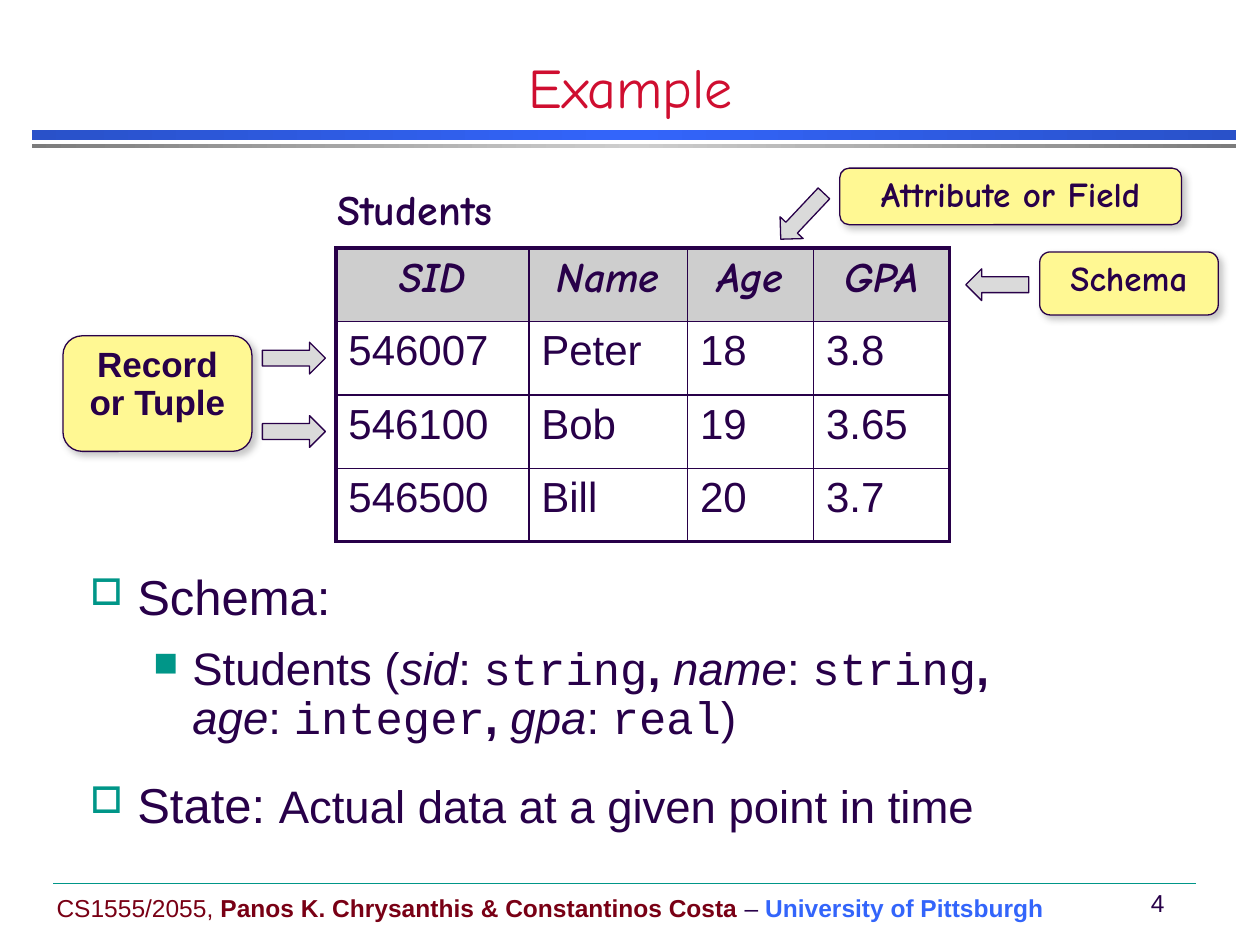
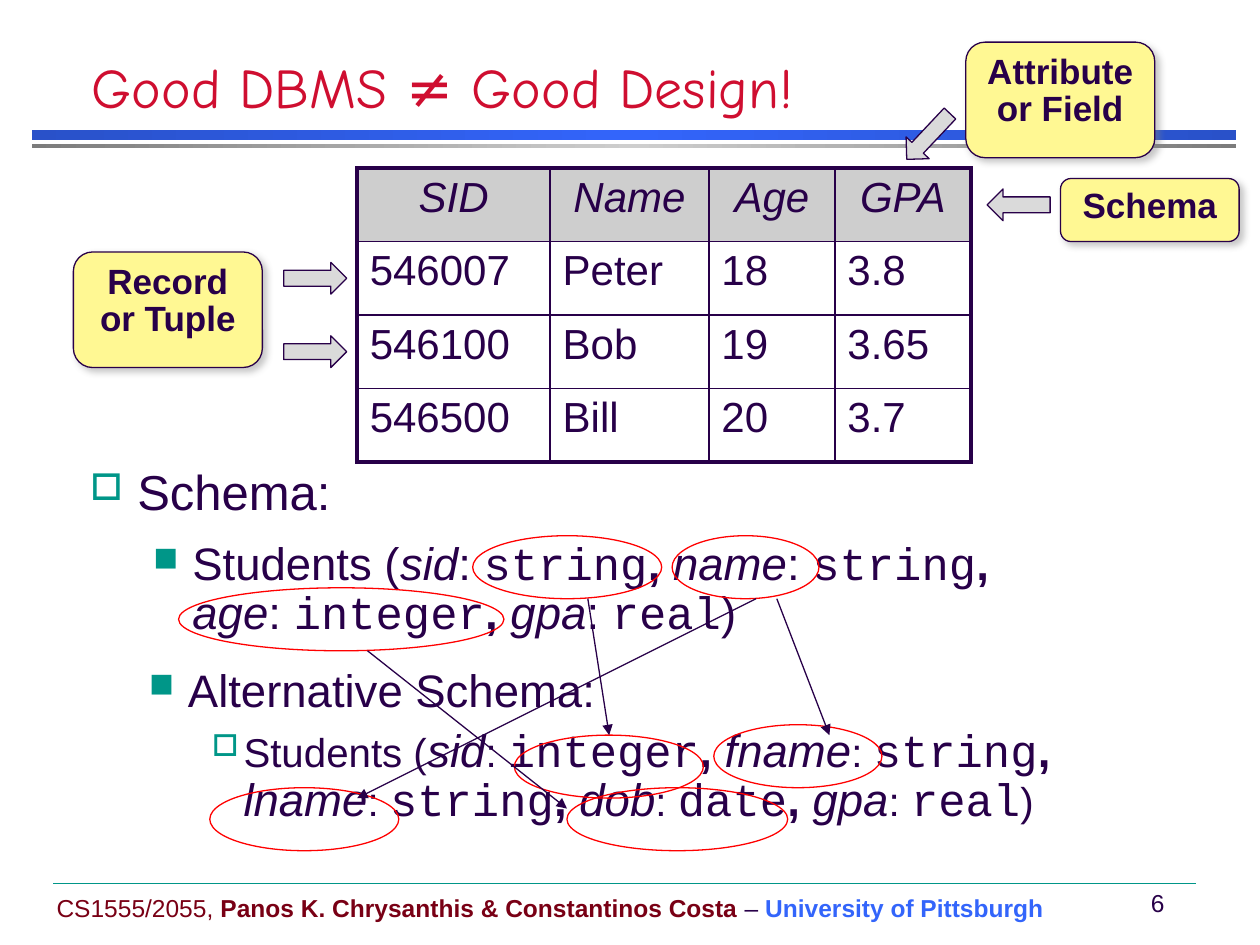
import copy

import pptx
import pptx.dml.color
import pptx.enum.shapes
import pptx.enum.text
import pptx.oxml
import pptx.oxml.ns
import pptx.util

SHAPE = pptx.enum.shapes.MSO_SHAPE
ALIGN = pptx.enum.text.PP_ALIGN
ANCHOR = pptx.enum.text.MSO_ANCHOR
Cm = pptx.util.Cm
Pt = pptx.util.Pt
qn = pptx.oxml.ns.qn

INK, RED, MAROON, TEAL = "280049", "CF0E30", "790015", "009688"
BLUE, GREY, YELLOW, ARROW_GREY, RING_RED = "3365FB", "CECECE", "FFF893", "DADADA", "FF0000"
HEAD_FONT, TEXT_FONT, CODE_FONT = "Comic Neue", "Arial", "Courier New"
LABEL = {"size": Pt(20), "bold": True}
STUDENTS = [
    ["SID", "Name", "Age", "GPA"],
    ["546007", "Peter", "18", "3.8"],
    ["546100", "Bob", "19", "3.65"],
    ["546500", "Bill", "20", "3.7"],
]
COLUMN_WIDTHS = [3.89, 3.2, 2.54, 2.74]
ROW_HEIGHT = 1.48
BULLETS = {1: ("□", 0.95, 0.95), 2: ("■", 2.06, 0.79), 3: ("□", 3.18, 0.64)}
FIELDS = [("sid", "string"), ("name", "string"), ("age", "integer"), ("gpa", "real")]
ALTERNATIVE_FIELDS = [("sid", "integer"), ("fname", "string"), ("lname", "string"),
                      ("dob", "date"), ("gpa", "real")]


def rgb(value):
    return pptx.dml.color.RGBColor.from_string(value)


def place(*lengths):
    return [Cm(length) for length in lengths]


def apply(target, formats):
    for name, value in formats.items():
        setattr(target, name, value)


def xml(tag, content="", **attributes):
    listed = " ".join(f'{name}="{value}"' for name, value in attributes.items())
    return pptx.oxml.parse_xml(
        f"<a:{tag} {pptx.oxml.ns.nsdecls('a')} {listed}>{content}</a:{tag}>")


def schema_runs(fields, plain_size):
    plain, larger = {"size": Pt(plain_size)}, {"size": Pt(26)}
    runs = [("Students (", plain)]
    for index, (field, kind) in enumerate(fields):
        runs += [(field, {**larger, "italic": True}), (": ", plain),
                 (kind, {**larger, "name": CODE_FONT})]
        if index == len(fields) - 1:
            runs.append((")", plain))
        elif index == 1:
            runs += [(",", {**larger, "bold": True}), ("\n", larger)]
        else:
            runs.append((", ", {**larger, "bold": True}))
    return runs


class Deck:
    def __init__(self):
        self.presentation = pptx.Presentation()
        self.presentation.slide_width = Cm(25.4)
        self.presentation.slide_height = Cm(19.05)
        self.slide = None

    def start(self, title, number, align):
        self.slide = self.presentation.slides.add_slide(self.presentation.slide_layouts[6])
        self.band(2.62, 0.2, "2951C9", BLUE)
        self.band(2.9, 0.08, "7C7C7C", GREY)
        self.line((1.07, 17.81), (24.1, 17.81), TEAL, 0.25)
        small, strong = {"size": Pt(14)}, {"size": Pt(14), "bold": True}
        self.text((0.89, 17.72, 22, 1.14), [
            ("CS1555/2055, ", {**small, "color": MAROON}),
            ("Panos K. Chrysanthis & Constantinos Costa", {**strong, "color": MAROON}),
            (" – ", small),
            ("University of Pittsburgh", {**strong, "color": BLUE}),
        ], ANCHOR.MIDDLE)
        self.text((22.72, 17.78, 1.24, 0.84), [(number, small)], ANCHOR.MIDDLE,
                  alignment=ALIGN.CENTER)
        self.text((1.6, 1.07, 22.23, 1.47),
                  [(title, {"size": Pt(32), "name": HEAD_FONT, "color": RED})],
                  ANCHOR.BOTTOM, alignment=align)

    def add_runs(self, paragraph, runs, **layout):
        apply(paragraph, layout)
        for text, formats in runs:
            if text == "\n":
                paragraph.add_line_break()
                continue
            run = paragraph.add_run()
            run.text = text
            formats = {"name": TEXT_FONT, "bold": False, "italic": False, "color": INK, **formats}
            run.font.color.rgb = rgb(formats.pop("color"))
            apply(run.font, formats)

    def frame(self, box, anchor=ANCHOR.TOP):
        frame = self.slide.shapes.add_textbox(*place(*box)).text_frame
        apply(frame, {"word_wrap": True, "vertical_anchor": anchor})
        return frame

    def text(self, box, runs, anchor=ANCHOR.TOP, **layout):
        self.add_runs(self.frame(box, anchor).paragraphs[0], runs, **layout)

    def outline(self, box, items):
        frame = self.frame(box)
        for index, (level, before, runs) in enumerate(items):
            paragraph = frame.add_paragraph() if index else frame.paragraphs[0]
            self.add_runs(paragraph, runs, line_spacing=0.9, space_before=Pt(before))
            character, margin, hanging = BULLETS[level]
            properties = paragraph._p.get_or_add_pPr()
            properties.set("marL", str(Cm(margin)))
            properties.set("indent", str(-Cm(hanging)))
            properties.append(xml("buClr", f'<a:srgbClr val="{TEAL}"/>'))
            properties.append(xml("buSzPct", val=75000))
            properties.append(xml("buChar", char=character))

    def shape(self, kind, box, fill=None, line=INK):
        shape = self.slide.shapes.add_shape(kind, *place(*box))
        shape.shadow.inherit = False
        if fill:
            shape.fill.solid()
            shape.fill.fore_color.rgb = rgb(fill)
        else:
            shape.fill.background()
        if line:
            shape.line.color.rgb = rgb(line)
            shape.line.width = Pt(0.75)
        else:
            shape.line.fill.background()
        return shape

    def band(self, top, height, edge, middle):
        band = self.shape(SHAPE.RECTANGLE, (0.64, top, 24.28, height), line=None)
        band.fill.gradient()
        band.fill.gradient_angle = 0
        for stop, color, position in zip(band.fill.gradient_stops, (edge, middle), (0, 0.5)):
            stop.color.rgb = rgb(color)
            stop.position = position
        stops = band._element.spPr.find(".//" + qn("a:gsLst"))
        last = copy.deepcopy(stops[0])
        last.set("pos", "100000")
        stops.append(last)

    def arrow(self, left, top, kind=SHAPE.RIGHT_ARROW, rotation=0):
        self.shape(kind, (left, top, 1.27, 0.64), ARROW_GREY).rotation = rotation

    def callout(self, box, label, font=TEXT_FONT):
        callout = self.shape(SHAPE.ROUNDED_RECTANGLE, box, YELLOW)
        shade = '<a:srgbClr val="808080"><a:alpha val="43000"/></a:srgbClr>'
        callout._element.spPr.find(qn("a:effectLst")).append(
            xml("outerShdw", shade, blurRad=Pt(4), dist=Pt(3), dir=2700000,
                algn="ctr", rotWithShape=0))
        apply(callout.text_frame, {"word_wrap": True, "vertical_anchor": ANCHOR.TOP})
        self.add_runs(callout.text_frame.paragraphs[0], [(label, {**LABEL, "name": font})],
                      alignment=ALIGN.CENTER, line_spacing=0.9)

    def ring(self, *box):
        self.shape(SHAPE.OVAL, box, line=RING_RED)

    def line(self, start, end, color=INK, width=0.75, head=False):
        line = self.slide.shapes.add_connector(
            pptx.enum.shapes.MSO_CONNECTOR.STRAIGHT, *place(*start, *end))
        line.line.color.rgb = rgb(color)
        line.line.width = Pt(width)
        if head:
            line.line._get_or_add_ln().append(xml("tailEnd", type="triangle"))
        line._element.spPr.append(xml("effectLst"))

    def table(self, left, top, heading):
        rows, columns = len(STUDENTS), len(COLUMN_WIDTHS)
        table = self.slide.shapes.add_table(
            rows, columns, *place(left, top, sum(COLUMN_WIDTHS), rows * ROW_HEIGHT)).table
        apply(table, {"first_row": False, "horz_banding": False})
        for column, width in zip(table.columns, COLUMN_WIDTHS):
            column.width = Cm(width)
        for r, record in enumerate(STUDENTS):
            table.rows[r].height = Cm(ROW_HEIGHT)
            for c, value in enumerate(record):
                cell = table.cell(r, c)
                outer = {"lnL": c == 0, "lnR": c == columns - 1,
                         "lnT": r == 0, "lnB": r == rows - 1}
                for side, thick in outer.items():
                    cell._tc.get_or_add_tcPr().append(
                        xml(side, f'<a:solidFill><a:srgbClr val="{INK}"/></a:solidFill>',
                            w=Pt(2.25 if thick else 1)))
                if r == 0:
                    cell.fill.solid()
                    cell.fill.fore_color.rgb = rgb(GREY)
                else:
                    cell.fill.background()
                self.add_runs(cell.text_frame.paragraphs[0],
                              [(value, {"size": Pt(24), **({} if r else heading)})],
                              alignment=ALIGN.LEFT if r else ALIGN.CENTER)


def example(deck):
    deck.start("Example", "4", ALIGN.CENTER)
    deck.table(6.77, 5, {"name": HEAD_FONT, "bold": True, "italic": True})
    deck.outline((1.57, 11.43, 22.23, 6.3), [
        (1, 0, [("Schema:", {"size": Pt(28)})]),
        (2, 11.5, schema_runs(FIELDS, 26)),
        (1, 21, [("State: ", {"size": Pt(28)}),
                 ("Actual data at a given point in time", {"size": Pt(26)})]),
    ])
    for top in (6.9, 8.38):
        deck.arrow(5.29, top)
    deck.arrow(19.47, 5.42, SHAPE.LEFT_ARROW)
    deck.arrow(15.54, 4.04, SHAPE.LEFT_ARROW, 313.3)
    deck.callout((16.93, 3.39, 6.89, 1.14), "Attribute or Field", HEAD_FONT)
    deck.callout((20.96, 5.08, 3.6, 1.27), "Schema", HEAD_FONT)
    deck.callout((1.27, 6.77, 3.81, 2.33), "Record or Tuple")
    deck.text((6.55, 3.58, 4.6, 1.27),
              [("Students", {"size": Pt(24), "name": HEAD_FONT, "bold": True})])


def good_design(deck):
    deck.start("Good DBMS ≠ Good Design!", "6", ALIGN.LEFT)
    deck.outline((1.57, 9.31, 22.23, 4), [
        (1, 0, [("Schema:", {"size": Pt(28)})]),
        (2, 11.5, schema_runs(FIELDS, 26)),
    ])
    deck.outline((1.48, 13.34, 22.23, 4.02), [
        (2, 0, [("Alternative Schema:", {"size": Pt(26)})]),
        (3, 6.2, schema_runs(ALTERNATIVE_FIELDS, 23)),
    ])
    for left, top, width in [(9.53, 10.8, 3.81), (10.37, 14.82, 3.81), (13.55, 10.8, 2.96),
                             (14.39, 14.61, 3.39), (4.23, 15.88, 3.81), (3.6, 11.85, 6.56),
                             (11.43, 15.88, 4.45)]:
        deck.ring(left, top, width, 1.27)
    for start, end in [((11.85, 12.07), (12.28, 14.82)), ((15.66, 12.07), (16.72, 14.82)),
                       ((15.24, 12.07), (7.2, 16.09)), ((7.41, 13.12), (11.43, 16.3))]:
        deck.line(start, end, head=True)
    for top in (5.29, 6.77):
        deck.arrow(5.72, top)
    deck.arrow(19.9, 3.81, SHAPE.LEFT_ARROW)
    deck.arrow(18.08, 2.43, SHAPE.LEFT_ARROW, 313.3)
    deck.callout((21.38, 3.6, 3.6, 1.27), "Schema")
    deck.callout((19.47, 0.85, 3.81, 2.33), "Attribute or Field")
    deck.callout((1.48, 5.08, 3.81, 2.33), "Record or Tuple")
    deck.table(7.2, 3.39, {"italic": True})


def main():
    deck = Deck()
    example(deck)
    good_design(deck)
    deck.presentation.save("out.pptx")


if __name__ == "__main__":
    main()
